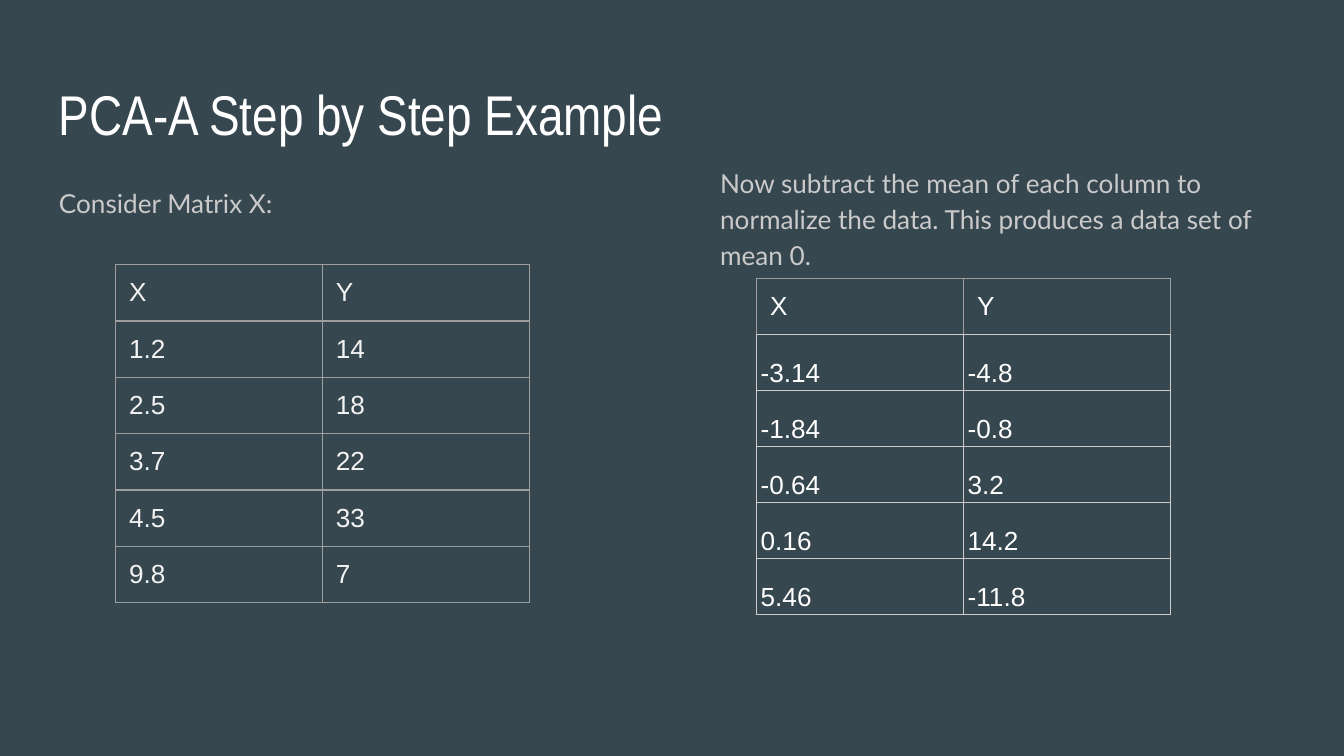
from dataclasses import dataclass

from lxml.etree import SubElement
from pptx import Presentation
from pptx.dml.color import RGBColor
from pptx.enum.text import MSO_ANCHOR as Anchor, MSO_AUTO_SIZE as AutoSize
from pptx.oxml.ns import qn
from pptx.util import Inches, Pt

COLORS = {
    "background": "37474F",
    "white": "FFFFFF",
    "body": "CACACA",
    "matrix_text": "F3F3F3",
    "grey_line": "9E9E9E",
    "light_line": "CCCCCC",
}
SLIDE_WIDTH = 10
SLIDE_HEIGHT = SLIDE_WIDTH * 9 / 16
COLUMN_WIDTH = 1.54
ROW_HEIGHT = 5 / 12
BORDER_WIDTH = 0.75


@dataclass
class TextBlock:
    text: str
    left: float
    top: float
    width: float
    height: float
    font: str = "Lato"
    size: float = 14
    color: str = "body"
    line_spacing: float = 1.15
    space_after: float = 0


@dataclass
class CellStyle:
    side_margin: float = 0.1
    end_margin: float = 0.1
    anchor: Anchor = Anchor.TOP
    line_spacing: float = 1.0
    border: str = "grey_line"
    bottom_border: str = "grey_line"


@dataclass
class DataTable:
    left: float
    top: float
    rows: list[tuple[str, str]]
    color: str
    header_style: CellStyle
    value_style: CellStyle


def rgb(name: str) -> RGBColor:
    return RGBColor.from_string(COLORS[name])


def add_run(paragraph, text: str, font: str, size: float, color: str) -> None:
    run = paragraph.add_run()
    run.text = text
    run.font.name = font
    run.font.size = Pt(size)
    run.font.color.rgb = rgb(color)


def draw_text(slide, block: TextBlock) -> None:
    shape = slide.shapes.add_textbox(
        Inches(block.left), Inches(block.top), Inches(block.width), Inches(block.height))
    frame = shape.text_frame
    frame.word_wrap = True
    frame.auto_size = AutoSize.NONE
    frame.margin_left = frame.margin_right = Inches(0.1)
    frame.margin_top = frame.margin_bottom = Inches(0.1)
    paragraph = frame.paragraphs[0]
    paragraph.line_spacing = block.line_spacing
    paragraph.space_after = Pt(block.space_after)
    add_run(paragraph, block.text, block.font, block.size, block.color)


def draw_borders(cell, style: CellStyle) -> None:
    properties = cell._tc.get_or_add_tcPr()
    for side in "LRTB":
        color = style.bottom_border if side == "B" else style.border
        line = SubElement(properties, qn(f"a:ln{side}"), w=str(Pt(BORDER_WIDTH)))
        fill = SubElement(line, qn("a:solidFill"))
        SubElement(fill, qn("a:srgbClr"), val=COLORS[color])


def draw_cell(cell, text: str, color: str, style: CellStyle) -> None:
    draw_borders(cell, style)
    cell.fill.background()
    cell.margin_left = cell.margin_right = Inches(style.side_margin)
    cell.margin_top = cell.margin_bottom = Inches(style.end_margin)
    cell.vertical_anchor = style.anchor
    paragraph = cell.text_frame.paragraphs[0]
    paragraph.line_spacing = style.line_spacing
    add_run(paragraph, text, "Arial", 14, color)


def draw_table(slide, data: DataTable) -> None:
    row_count, column_count = len(data.rows), len(data.rows[0])
    table = slide.shapes.add_table(
        row_count, column_count, Inches(data.left), Inches(data.top),
        Inches(COLUMN_WIDTH * column_count), Inches(ROW_HEIGHT * row_count)).table
    table.first_row = table.horz_banding = False
    for column in table.columns:
        column.width = Inches(COLUMN_WIDTH)
    for row_index, values in enumerate(data.rows):
        table.rows[row_index].height = Inches(ROW_HEIGHT)
        style = data.value_style if row_index else data.header_style
        for column_index, value in enumerate(values):
            draw_cell(table.cell(row_index, column_index), value, data.color, style)


# Title and explanations
TEXT_BLOCKS = [
    TextBlock("PCA-A Step by Step Example", 0.34, 0.49, 9.32, 0.63,
              font="Arial Narrow", size=30, color="white", line_spacing=1.0),
    TextBlock("Consider Matrix X:", 0.34, 1.26, 4.37, 3.74),
    TextBlock("Now subtract the mean of each column to normalize the data. "
              "This produces a data set of mean 0.", 5.26, 1.11, 4.37, 3.74,
              space_after=16),
]

# Matrix X and its mean-centred form
TABLES = [
    DataTable(0.86, 1.97,
              [("X", "Y"), ("1.2", "14"), ("2.5", "18"), ("3.7", "22"),
               ("4.5", "33"), ("9.8", "7")],
              "matrix_text", CellStyle(), CellStyle()),
    DataTable(5.63, 2.07,
              [("X", "Y"), ("-3.14", "-4.8"), ("-1.84", "-0.8"), ("-0.64", "3.2"),
               ("0.16", "14.2"), ("5.46", "-11.8")],
              "white", CellStyle(bottom_border="light_line"),
              CellStyle(0.03, 0.02, Anchor.BOTTOM, 1.15, "light_line", "light_line")),
]


def main() -> None:
    presentation = Presentation()
    presentation.slide_width = Inches(SLIDE_WIDTH)
    presentation.slide_height = Inches(SLIDE_HEIGHT)
    slide = presentation.slides.add_slide(presentation.slide_layouts[6])
    slide.background.fill.solid()
    slide.background.fill.fore_color.rgb = rgb("background")

    for block in TEXT_BLOCKS:
        draw_text(slide, block)
    for data in TABLES:
        draw_table(slide, data)
    presentation.save("out.pptx")


if __name__ == "__main__":
    main()
